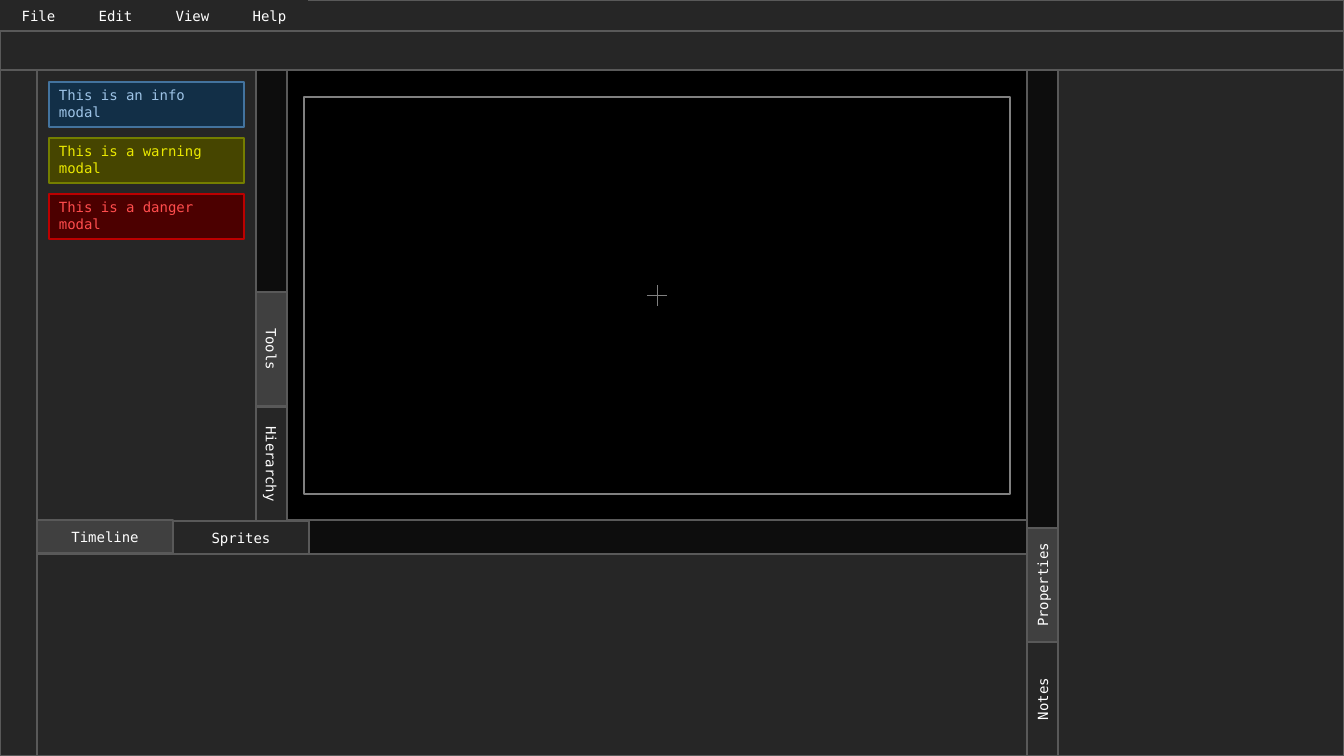
from pptx import Presentation
from pptx.dml.color import RGBColor as RGB
from pptx.enum.shapes import MSO_CONNECTOR as LINK, MSO_SHAPE as SHAPE
from pptx.enum.text import MSO_ANCHOR as ANCHOR, PP_ALIGN as ALIGN
from pptx.oxml.ns import qn
from pptx.util import Pt
from lxml import etree

PX = 914400 / 100.8
HUES = {
    "black": "000000", "dark": "0D0D0D", "panel": "262626",
    "tab": "404040", "edge": "595959", "frame": "808080", "white": "FFFFFF",
    "info": "122F47", "info edge": "43739E", "info text": "9DC3E6",
    "warn": "464500", "warn edge": "747E00", "warn text": "EAE800",
    "danger": "4C0000", "danger edge": "BC0000", "danger text": "FF4D4D",
}


def emu(n):
    return round(n * PX)


def box(x, y, w, h, fill, edge="edge", text="", hue="white",
        align=ALIGN.CENTER, anchor=ANCHOR.MIDDLE, turn=0):
    """Add a rectangle; x, y, w, h give its place as seen after the turn."""
    if turn:
        x, y, w, h = x + (w - h) / 2, y + (h - w) / 2, h, w
    rect = slide.shapes.add_shape(SHAPE.RECTANGLE, emu(x), emu(y), emu(w), emu(h))
    rect.rotation = turn
    rect.shadow.inherit = False
    if fill:
        rect.fill.solid()
        rect.fill.fore_color.rgb = RGB.from_string(HUES[fill])
    else:
        rect.fill.background()
    if edge:
        rect.line.color.rgb = RGB.from_string(HUES[edge])
        rect.line.width = Pt(1)
    else:
        rect.line.fill.background()
    if text:
        frame = rect.text_frame
        frame.word_wrap = True
        frame.vertical_anchor = anchor
        frame.text = text
        for para in frame.paragraphs:
            para.alignment = align
            para.font.name = "DejaVu Sans Mono"
            para.font.size = Pt(10)
            para.font.color.rgb = RGB.from_string(HUES[hue])


deck = Presentation()
deck.slide_width, deck.slide_height = emu(1344), emu(756)
slide = deck.slides.add_slide(deck.slide_layouts[6])
slide.background.fill.solid()
slide.background.fill.fore_color.rgb = RGB.from_string(HUES["black"])

# Panels and empty tab strips
box(1027, 70, 317, 686, "panel")
box(1027, 70, 31, 685, "dark", turn=90)
box(37, 520, 990, 235, "dark")
box(0, 0, 1344, 31, "panel")
box(37, 70, 250, 451, "panel")
box(0, 70, 37, 686, "panel")
box(37, 554, 990, 202, "panel")

# Canvas with its cross mark
box(304, 97, 706, 397, None, "frame")
cross = slide.shapes.add_group_shape()
for ends in ((657, 285, 657, 306), (647, 295, 667, 295)):
    line = cross.shapes.add_connector(LINK.STRAIGHT, *map(emu, ends))
    line.line.color.rgb = RGB.from_string(HUES["frame"])
    line.line.width = Pt(0.5)
    etree.SubElement(line._element.spPr, qn("a:effectLst"))

# Tabs
box(256, 69, 31, 452, "dark", turn=90)
for text, x, y, fill, turn in (
    ("Hierarchy", 256, 407, "panel", 90),
    ("Tools", 256, 292, "tab", 90),
    ("Notes", 1027, 642, "panel", 270),
    ("Properties", 1027, 528, "tab", 270),
):
    box(x, y, 31, 114, fill, text=text, turn=turn)
box(37, 520, 136, 33, "tab", text="Timeline")
box(173, 521, 136, 33, "panel", text="Sprites")

# Menu
for i, text in enumerate(("File", "Edit", "View", "Help")):
    box(i * 77, 0, 77, 31, "panel", None, text)

# Modals
for i, (kind, text) in enumerate((
    ("info", "This is an info\nmodal"),
    ("warn", "This is a warning modal"),
    ("danger", "This is a danger modal"),
)):
    box(49, 82 + i * 56, 195, 45, kind, kind + " edge", text, kind + " text",
        ALIGN.LEFT, ANCHOR.TOP)

# Toolbar
box(0, 31, 1344, 39, "panel")

deck.save("out.pptx")
